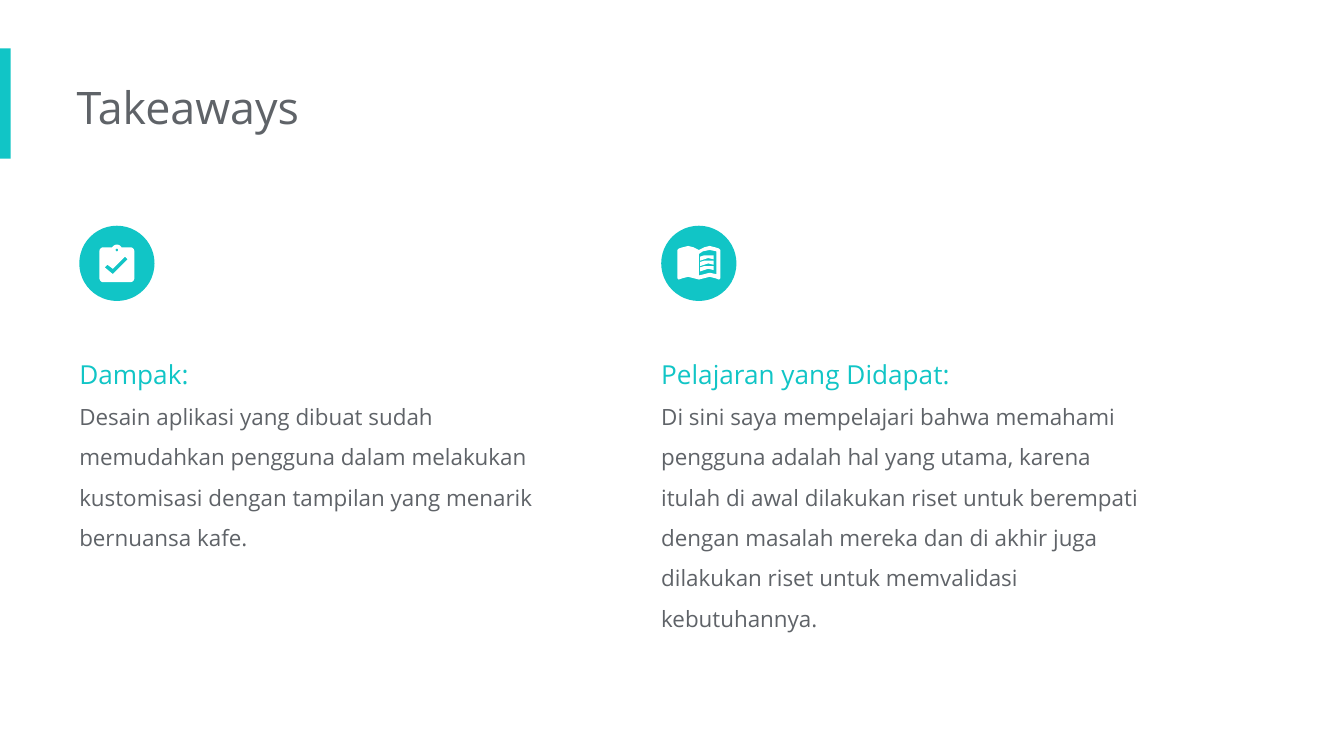
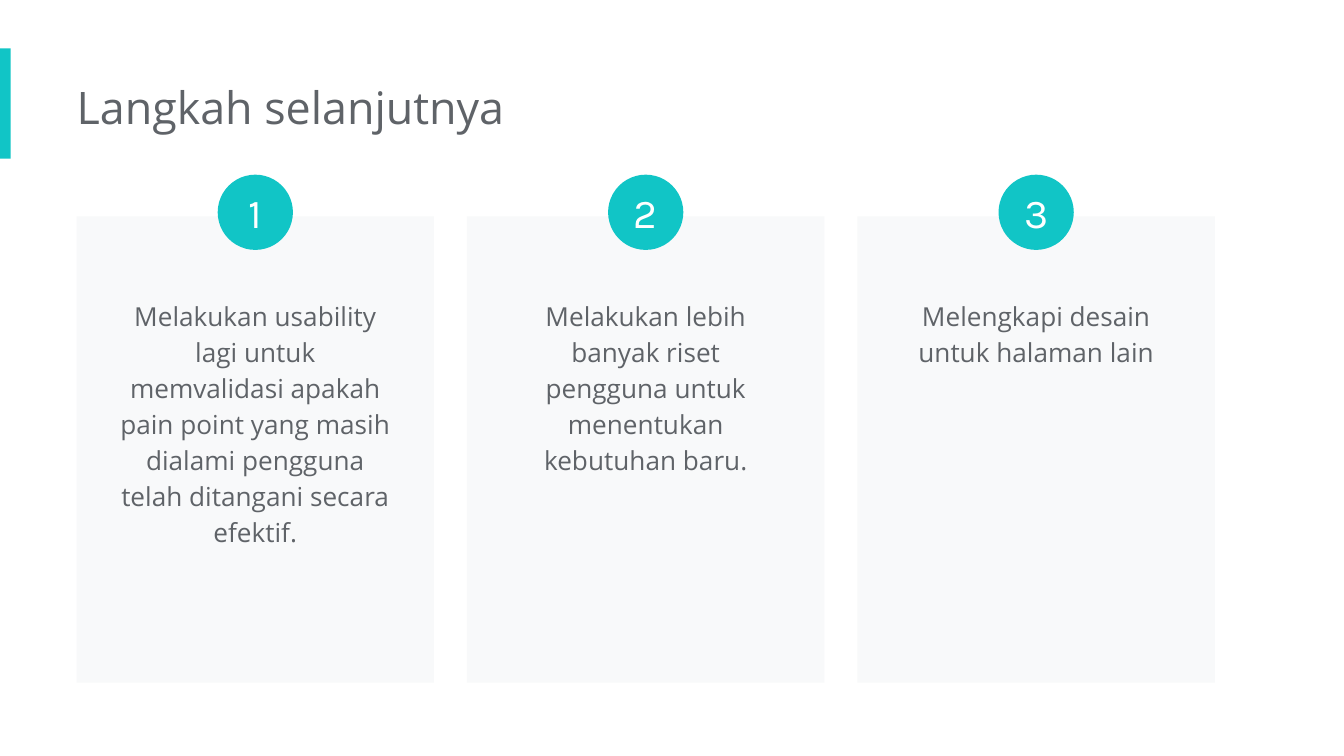
import math
from dataclasses import dataclass
from typing import Callable

import pptx
import pptx.dml.color
import pptx.enum.shapes
import pptx.enum.text
import pptx.util
from pptx.util import Inches

Point = tuple[float, float]
Contour = list[Point]
MSO_SHAPE = pptx.enum.shapes.MSO_SHAPE
PP_ALIGN = pptx.enum.text.PP_ALIGN
MSO_ANCHOR = pptx.enum.text.MSO_ANCHOR


@dataclass(frozen=True)
class Theme:
    accent: str = "11C5C6"
    text: str = "5F6368"
    card: str = "F8F9FA"
    white: str = "FFFFFF"
    font: str = "Open Sans"
    number_font: str = "Karla"
    title_size: int = 24
    number_size: int = 22
    heading_size: int = 14
    body_size: int = 12
    circle: float = 0.56


THEME = Theme()


@dataclass(frozen=True)
class Takeaway:
    left: float
    height: float
    heading: str
    body: str
    draw_icon: Callable


@dataclass(frozen=True)
class Step:
    text: str
    height: float


# Shared drawing functions
def style_paragraph(paragraph, size: int, color: str, font: str = THEME.font,
                    align=PP_ALIGN.LEFT, spacing: float = 1.0) -> None:
    paragraph.alignment = align
    paragraph.line_spacing = spacing
    paragraph.font.name = font
    paragraph.font.size = pptx.util.Pt(size)
    paragraph.font.color.rgb = pptx.dml.color.RGBColor.from_string(color)


def set_frame(frame, left: float = 0, other: float = 0.1, anchor=MSO_ANCHOR.TOP) -> None:
    frame.word_wrap = True
    frame.vertical_anchor = anchor
    frame.margin_left = Inches(left)
    frame.margin_top = frame.margin_right = frame.margin_bottom = Inches(other)


def paint(shape, color: str) -> None:
    shape.shadow.inherit = False
    shape.fill.solid()
    shape.fill.fore_color.rgb = pptx.dml.color.RGBColor.from_string(color)
    shape.line.fill.background()


def add_filled(slide, kind, left: float, top: float, width: float, height: float, color: str):
    shape = slide.shapes.add_shape(
        kind, Inches(left), Inches(top), Inches(width), Inches(height))
    paint(shape, color)
    return shape


def add_circle(slide, left: float, top: float):
    return add_filled(slide, MSO_SHAPE.OVAL, left, top, THEME.circle, THEME.circle, THEME.accent)


def add_text_box(slide, left: float, top: float, width: float, height: float, inset: float = 0):
    box = slide.shapes.add_textbox(Inches(left), Inches(top), Inches(width), Inches(height))
    set_frame(box.text_frame, left=inset)
    return box.text_frame


def add_titled_slide(presentation, title: str):
    slide = presentation.slides.add_slide(presentation.slide_layouts[5])
    add_filled(slide, MSO_SHAPE.RECTANGLE, 0, 0.36, 0.08, 0.82, THEME.accent)
    shape = slide.shapes.title
    shape.left, shape.top = Inches(0.57), Inches(0.49)
    shape.width, shape.height = Inches(5.39), Inches(0.61)
    frame = shape.text_frame
    frame.text = title
    frame.auto_size = pptx.enum.text.MSO_AUTO_SIZE.NONE
    set_frame(frame)
    style_paragraph(frame.paragraphs[0], THEME.title_size, THEME.text)
    return slide


# Icons, in inches from the top left corner of their circle
def arc(x: float, y: float, radius: float, start: int, end: int) -> Contour:
    return [(x + radius * math.cos(math.radians(angle)), y + radius * math.sin(math.radians(angle)))
            for angle in range(start, end + 1, 15)]


def add_outline(shapes, left: float, top: float, contours: list[Contour]) -> None:
    def place(point: Point):
        return Inches(left + point[0]), Inches(top + point[1])

    builder = shapes.build_freeform(*place(contours[0][0]))
    for index, contour in enumerate(contours):
        if index:
            builder.move_to(*place(contour[0]))
        builder.add_line_segments([place(point) for point in contour[1:]], close=True)
    paint(builder.convert_to_shape(), THEME.white)


def draw_clipboard(slide, left: float, top: float) -> None:
    body = (arc(0.18, 0.19, 0.03, 180, 270) + arc(0.28, 0.18, 0.04, 210, 330)
            + arc(0.38, 0.19, 0.03, 270, 360) + arc(0.38, 0.39, 0.03, 0, 90)
            + arc(0.18, 0.39, 0.03, 90, 180))
    clip_hole = arc(0.28, 0.18, 0.01, 0, 345)
    check = [(0.25, 0.36), (0.19, 0.31), (0.21, 0.29), (0.25, 0.32), (0.34, 0.23), (0.36, 0.25)]
    add_outline(slide.shapes, left, top, [body, clip_hole, check])


def draw_book(slide, left: float, top: float) -> None:
    cover = [(0.12, 0.18), (0.13, 0.17), (0.16, 0.16), (0.20, 0.15), (0.24, 0.16), (0.28, 0.18),
             (0.32, 0.16), (0.36, 0.15), (0.40, 0.16), (0.43, 0.17), (0.44, 0.18),
             (0.44, 0.39), (0.43, 0.40), (0.40, 0.39), (0.36, 0.38), (0.32, 0.39), (0.28, 0.40),
             (0.24, 0.39), (0.20, 0.38), (0.16, 0.39), (0.13, 0.40), (0.12, 0.39)]
    page = [(0.28, 0.21), (0.31, 0.19), (0.36, 0.18), (0.41, 0.19),
            (0.41, 0.36), (0.36, 0.35), (0.32, 0.36), (0.28, 0.37)]
    text_line = [(0.29, 0.23), (0.32, 0.22), (0.35, 0.22), (0.39, 0.22),
                 (0.39, 0.25), (0.35, 0.24), (0.32, 0.25), (0.29, 0.26)]
    group = slide.shapes.add_group_shape()
    add_outline(group.shapes, left, top, [cover, page])
    for row in range(3):
        add_outline(group.shapes, left, top + row * 0.04, [text_line])


# Slide parts
def add_takeaway(slide, item: Takeaway) -> None:
    frame = add_text_box(slide, item.left, 2.45, 3.77, item.height)
    frame.text = f"{item.heading}\n{item.body}"
    heading, body = frame.paragraphs
    style_paragraph(heading, THEME.heading_size, THEME.accent, spacing=1.5)
    style_paragraph(body, THEME.body_size, THEME.text, spacing=1.5)
    add_circle(slide, item.left, 1.68)
    item.draw_icon(slide, item.left, 1.68)


def add_step(slide, number: int, step: Step) -> None:
    card_width, text_width, first_left, last_left = 2.66, 2.24, 0.57, 6.38
    left = first_left + (number - 1) * (last_left - first_left) / 2
    center = left + card_width / 2
    add_filled(slide, MSO_SHAPE.RECTANGLE, left, 1.61, card_width, 3.47, THEME.card)

    frame = add_text_box(slide, center - text_width / 2, 2.1, text_width, step.height, inset=0.1)
    frame.text = step.text
    style_paragraph(frame.paragraphs[0], THEME.heading_size, THEME.text,
                    align=PP_ALIGN.CENTER, spacing=1.15)

    badge = add_circle(slide, center - THEME.circle / 2, 1.3).text_frame
    set_frame(badge, other=0, anchor=MSO_ANCHOR.MIDDLE)
    badge.text = str(number)
    style_paragraph(badge.paragraphs[0], THEME.number_size, THEME.white,
                    font=THEME.number_font, align=PP_ALIGN.CENTER)


TAKEAWAYS = [
    Takeaway(0.59, 1.67, "Dampak:",
             "Desain aplikasi yang dibuat sudah memudahkan pengguna dalam melakukan "
             "kustomisasi dengan tampilan yang menarik bernuansa kafe.", draw_clipboard),
    Takeaway(4.92, 2.27, "Pelajaran yang Didapat:",
             "Di sini saya mempelajari bahwa memahami pengguna adalah hal yang utama, karena "
             "itulah di awal dilakukan riset untuk berempati dengan masalah mereka dan di akhir "
             "juga dilakukan riset untuk memvalidasi kebutuhannya.", draw_book),
]

STEPS = [
    Step("Melakukan usability lagi untuk memvalidasi apakah pain point yang masih dialami "
         "pengguna telah ditangani secara efektif.", 2.33),
    Step("Melakukan lebih banyak riset pengguna untuk menentukan kebutuhan baru.", 1.52),
    Step("Melengkapi desain untuk halaman lain", 0.98),
]


def main() -> None:
    presentation = pptx.Presentation()
    presentation.slide_width = Inches(10)
    presentation.slide_height = Inches(10) * 9 // 16

    # Takeaways
    slide = add_titled_slide(presentation, "Takeaways")
    for item in TAKEAWAYS:
        add_takeaway(slide, item)

    # Next steps
    slide = add_titled_slide(presentation, "Langkah selanjutnya")
    for number, step in enumerate(STEPS, start=1):
        add_step(slide, number, step)

    presentation.save("out.pptx")


if __name__ == "__main__":
    main()
